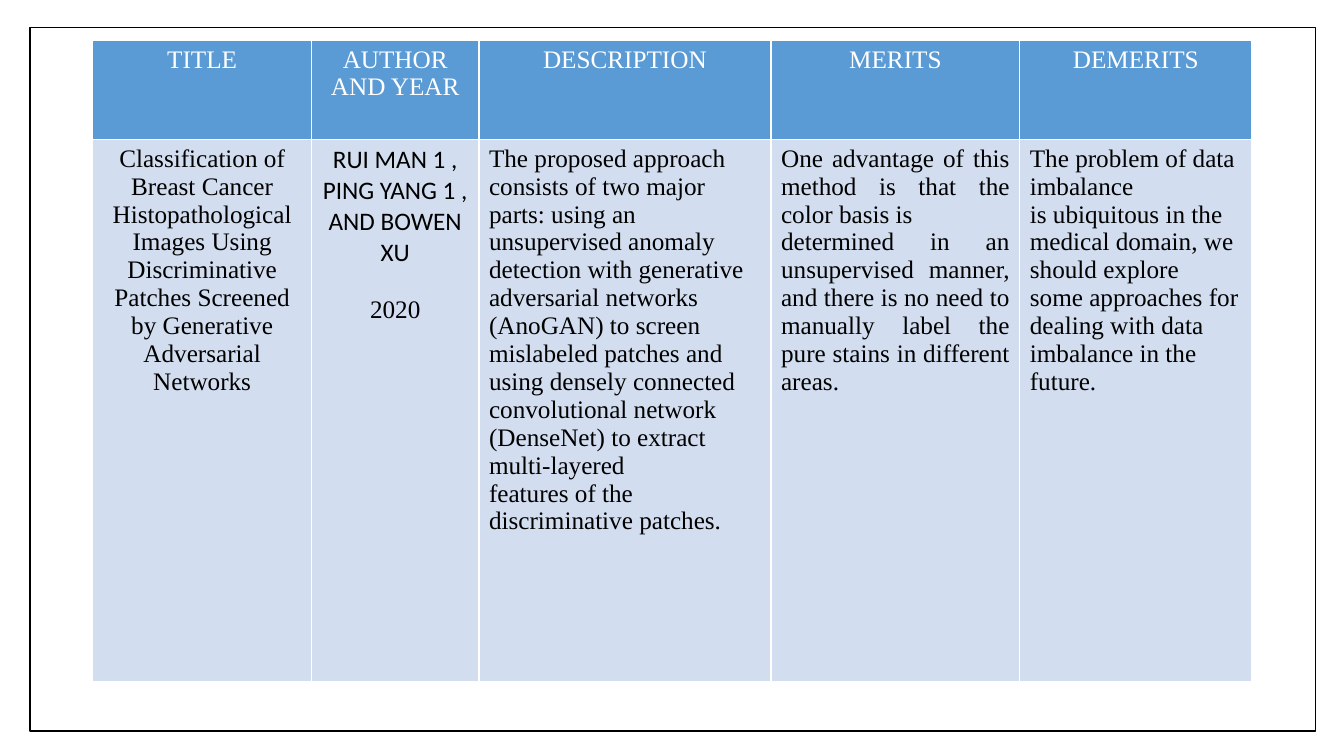
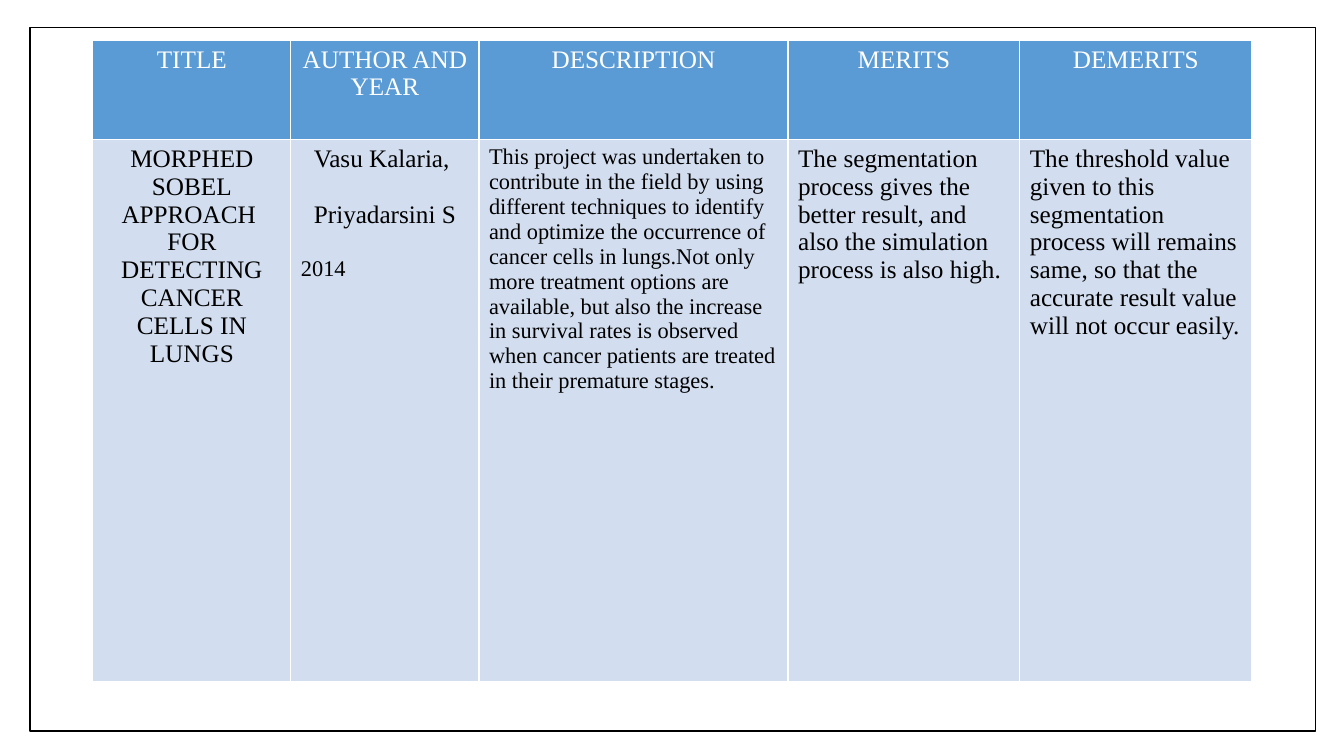
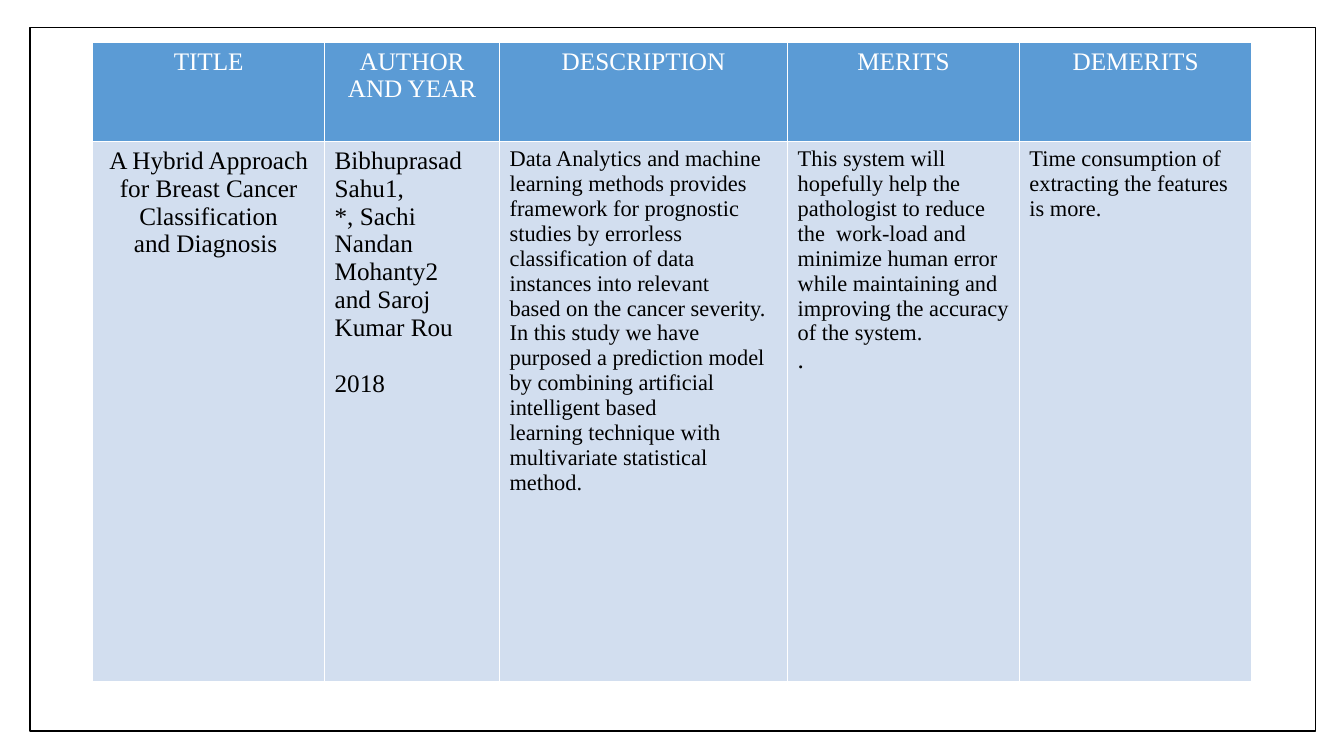
import pptx
import pptx.util
import pptx.dml.color
import pptx.enum.shapes
import pptx.enum.text
import lxml.etree

Cm = pptx.util.Cm
Pt = pptx.util.Pt
ALIGN = pptx.enum.text.PP_ALIGN
INK = {"white": "FFFFFF", "black": "000000", "head": "5B9BD5", "body": "D2DEEF"}
SERIF = "Times New Roman"
GAP = Pt(20)

LOOKS = {
    "mid": ({"alignment": ALIGN.CENTER}, {}),
    "left": ({"alignment": ALIGN.LEFT}, {}),
    "full": ({"alignment": ALIGN.JUSTIFY}, {}),
    "small": ({"alignment": ALIGN.LEFT}, {"size": Pt(16)}),
    "sans": ({"alignment": ALIGN.CENTER}, {"name": "Calibri"}),
    "mid gap": ({"alignment": ALIGN.CENTER, "space_before": GAP}, {}),
    "left gap": ({"alignment": ALIGN.LEFT, "space_before": GAP}, {}),
    "small gap": ({"alignment": ALIGN.LEFT, "space_before": GAP}, {"size": Pt(16)}),
}
FONT = {"name": SERIF, "size": Pt(18), "bold": False}

HEADS = ["TITLE", "AUTHOR AND YEAR", "DESCRIPTION", "MERITS", "DEMERITS"]
FRAME = (0.76, 0.69, 32.39, 17.73)
LEFT, WIDTH, BOTTOM, HEAD = 2.34, 29.21, 17.17, 2.5

PAPERS = [
    {
        "top": 1.02,
        "cols": [5.51, 4.22, 7.36, 6.27],
        "cells": [
            [("mid", "Classification of Breast Cancer Histopathological"),
             ("mid", "Images Using Discriminative Patches Screened"),
             ("mid", "by Generative Adversarial Networks")],
            [("sans", "RUI MAN 1 , PING YANG 1 , AND BOWEN XU"),
             ("mid gap", "2020")],
            [("left", "The proposed approach consists of two major"),
             ("left", "parts: using an unsupervised anomaly detection with generative "
                      "adversarial networks (AnoGAN) to screen"),
             ("left", "mislabeled patches and using densely connected convolutional "
                      "network (DenseNet) to extract multi-layered"),
             ("left", "features of the discriminative patches.")],
            [("full", "One advantage of this method is that the color basis is"),
             ("full", "determined in an unsupervised manner, and there is no need to "
                      "manually label the pure stains in different areas.")],
            [("left", "The problem of data imbalance"),
             ("left", "is ubiquitous in the medical domain, we should explore"),
             ("left", "some approaches for dealing with data imbalance in the"),
             ("left", "future.")],
        ],
    },
    {
        "top": 1.02,
        "cols": [4.99, 4.74, 7.79, 5.84],
        "cells": [
            [("mid", "MORPHED SOBEL"),
             ("mid", "APPROACH "),
             ("mid", "FOR"),
             ("mid", "DETECTING CANCER CELLS IN"),
             ("mid", "LUNGS")],
            [("mid", "Vasu Kalaria, "),
             ("mid gap", "Priyadarsini S"),
             ("small gap", "2014")],
            [("small", "This project was undertaken to contribute in the field by using "
                       "different techniques to identify and optimize the occurrence of "
                       "cancer cells in lungs.Not only more treatment options are "
                       "available, but also the increase in survival rates is observed "
                       "when cancer patients are treated in their premature stages.")],
            [("left", "The segmentation process gives the better result, and also the "
                      "simulation process is also high.")],
            [("left", "The threshold value given to this segmentation process will "
                      "remains same, so that the accurate result value will not occur "
                      "easily.")],
        ],
    },
    {
        "top": 1.07,
        "cols": [5.84, 4.41, 7.26, 5.84],
        "cells": [
            [("mid", "A Hybrid Approach for Breast Cancer Classification"),
             ("mid", "and Diagnosis ")],
            [("left", "Bibhuprasad Sahu1,"),
             ("left", "*, Sachi Nandan Mohanty2"),
             ("left", "and Saroj Kumar Rou"),
             ("left gap", "2018")],
            [("small", "Data Analytics and machine"),
             ("small", "learning methods provides framework for prognostic studies by "
                       "errorless classification of data instances into relevant"),
             ("small", "based on the cancer severity. In this study we have purposed a "
                       "prediction model by combining artificial intelligent based"),
             ("small", "learning technique with multivariate statistical method.")],
            [("small", "This system will hopefully help the pathologist to reduce the  "
                       "work-load and minimize human error while maintaining and "
                       "improving the accuracy of the system."),
             ("left", ".")],
            [("small", "Time consumption of extracting the features is more.")],
        ],
    },
]


def tint(name):
    return pptx.dml.color.RGBColor.from_string(INK[name])


def style(item, form):
    for key, value in form.items():
        setattr(item, key, value)


def edge(cell):
    props = cell._tc.get_or_add_tcPr()
    space = props.nsmap["a"]
    for side in ("lnL", "lnR", "lnT", "lnB"):
        line = lxml.etree.SubElement(props, f"{{{space}}}{side}", w=str(Pt(1)))
        fill = lxml.etree.SubElement(line, f"{{{space}}}solidFill")
        lxml.etree.SubElement(fill, f"{{{space}}}srgbClr", val=INK["white"])


def fill_cell(cell, lines, back, ink):
    edge(cell)
    cell.fill.solid()
    cell.fill.fore_color.rgb = tint(back)
    for i, (look, text) in enumerate(lines):
        frame = cell.text_frame
        para = frame.add_paragraph() if i else frame.paragraphs[0]
        run = para.add_run()
        run.text = text
        layout, face = LOOKS[look]
        style(para, layout)
        style(run.font, {**FONT, **face})
        run.font.color.rgb = tint(ink)


def add_grid(slide, box, cols, cells):
    left, top, width, height = box
    shape = slide.shapes.add_table(2, len(HEADS), *map(Cm, box))
    table = shape.table
    style(table, {"first_row": False, "horz_banding": False})
    for col, size in zip(table.columns, cols + [width - sum(cols)]):
        col.width = Cm(size)
    for row, size in zip(table.rows, (HEAD, height - HEAD)):
        row.height = Cm(size)
    for i, (head, lines) in enumerate(zip(HEADS, cells)):
        fill_cell(table.cell(0, i), [("mid", head)], "head", "white")
        fill_cell(table.cell(1, i), lines, "body", "black")


def add_frame(slide, box):
    kind = pptx.enum.shapes.MSO_SHAPE.RECTANGLE
    frame = slide.shapes.add_shape(kind, *map(Cm, box))
    frame.shadow.inherit = False
    frame.fill.background()
    frame.line.color.rgb = tint("black")
    frame.line.width = Pt(1)


def main():
    deck = pptx.Presentation()
    style(deck, {"slide_width": Cm(33.87), "slide_height": Cm(19.05)})
    for paper in PAPERS:
        slide = deck.slides.add_slide(deck.slide_layouts[6])
        top = paper["top"]
        add_grid(slide, (LEFT, top, WIDTH, BOTTOM - top), paper["cols"], paper["cells"])
        add_frame(slide, FRAME)
    deck.save("out.pptx")


if __name__ == "__main__":
    main()
